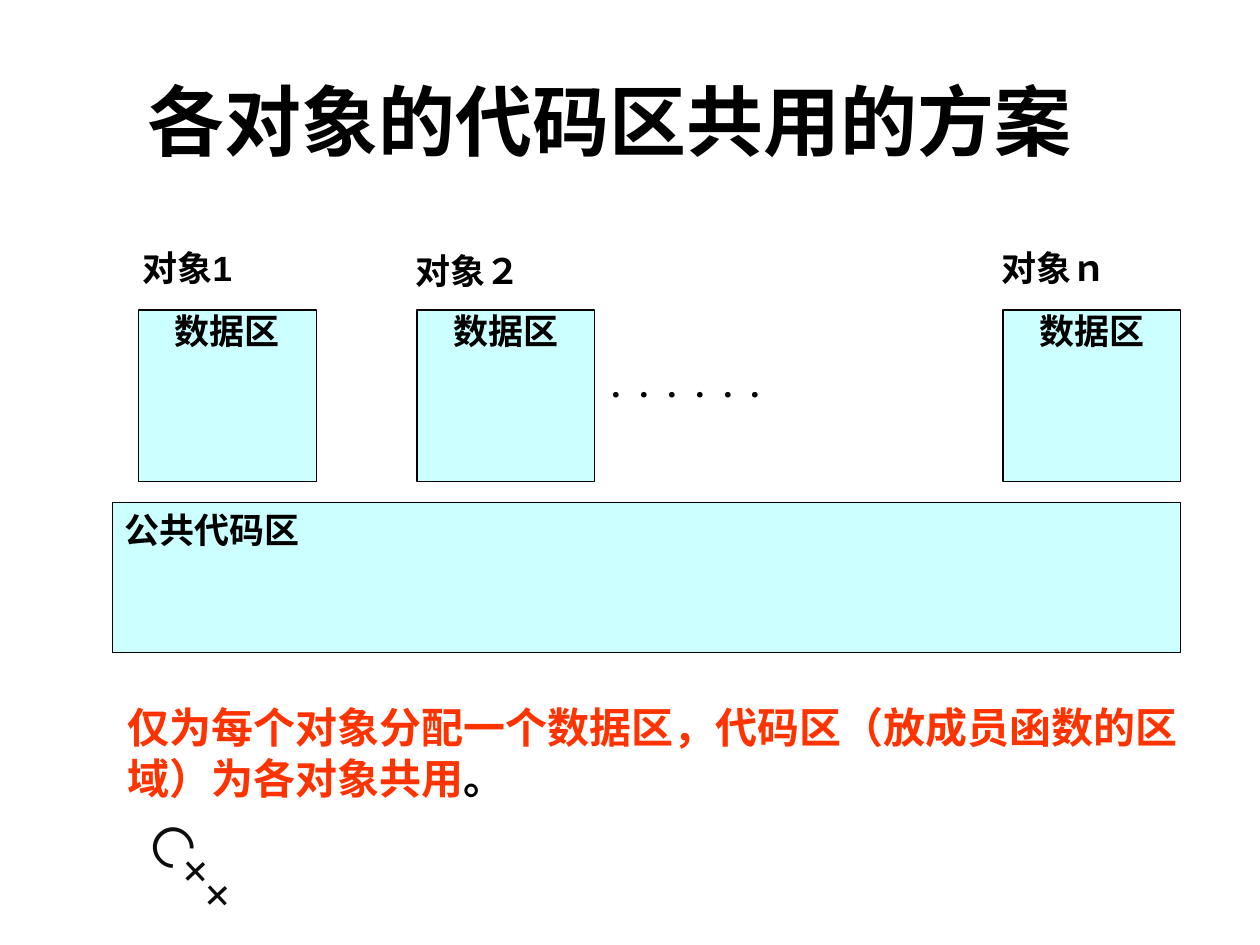
"""Build the slide on objects that share one code area."""
from dataclasses import dataclass

from pptx import Presentation
from pptx import util as u
from pptx.dml.color import RGBColor
from pptx.enum import shapes, text

BLACK = RGBColor(0x00, 0x00, 0x00)
INK = RGBColor(0x0D, 0x0D, 0x0D)
RED = RGBColor(0xFF, 0x33, 0x00)
CYAN = RGBColor(0xCC, 0xFF, 0xFF)
LEFT = text.PP_ALIGN.LEFT
CENTER = text.PP_ALIGN.CENTER
JUSTIFY = text.PP_ALIGN.JUSTIFY
AREA_TOP, AREA_WIDTH, AREA_HEIGHT = 2.46, 1.41, 1.36


@dataclass(frozen=True)
class Span:
    words: str
    size: float
    color: RGBColor = BLACK
    font: str = "Arial"
    bold: bool = True


@dataclass(frozen=True)
class Place:
    left: float
    top: float
    width: float
    height: float

    def lengths(self) -> list:
        return [u.Inches(n) for n in (self.left, self.top, self.width, self.height)]


@dataclass(frozen=True)
class ObjectBlock:
    name: str
    area_left: float
    label: Place


OBJECTS = [
    ObjectBlock("对象1", 1.10, Place(1.13, 1.96, 1.41, 0.34)),
    ObjectBlock("对象２", 3.31, Place(3.30, 1.98, 1.78, 0.31)),
    ObjectBlock("对象ｎ", 7.96, Place(7.95, 1.96, 1.69, 0.34)),
]


def write(box, spans: list[Span], align=LEFT, anchor=text.MSO_ANCHOR.TOP,
          padded: bool = True) -> None:
    frame = box.text_frame
    frame.word_wrap = True
    frame.auto_size = text.MSO_AUTO_SIZE.NONE
    frame.vertical_anchor = anchor
    if not padded:
        frame.margin_left = frame.margin_right = 0
        frame.margin_top = frame.margin_bottom = 0
    para = frame.paragraphs[0]
    para.alignment = align
    for span in spans:
        run = para.add_run()
        run.text = span.words
        run.font.name = span.font
        run.font.size = u.Pt(span.size)
        run.font.bold = span.bold
        run.font.color.rgb = span.color


def add_text(page, place: Place, spans: list[Span], align=LEFT,
             padded: bool = True):
    box = page.shapes.add_textbox(*place.lengths())
    write(box, spans, align, padded=padded)
    return box


def add_area(page, place: Place, label: str, align, padded: bool) -> None:
    box = page.shapes.add_shape(shapes.MSO_SHAPE.RECTANGLE, *place.lengths())
    box.shadow.inherit = False
    box.fill.solid()
    box.fill.fore_color.rgb = CYAN
    box.line.color.rgb = BLACK
    box.line.width = u.Pt(0.75)
    write(box, [Span(label, 20)], align, padded=padded)


def add_title(page, place: Place, words: str) -> None:
    title = page.shapes.title
    title.left, title.top, title.width, title.height = place.lengths()
    write(title, [Span(words, 44)], anchor=text.MSO_ANCHOR.MIDDLE)


def main() -> None:
    deck = Presentation()
    deck.slide_width, deck.slide_height = u.Inches(10), u.Inches(7.5)
    page = deck.slides.add_slide(deck.slide_layouts[5])

    add_title(page, Place(1.07, 0.29, 8.43, 1.32), "各对象的代码区共用的方案")
    corner = add_text(page, Place(0.94, 6.78, 1.61, 0.64),
                      [Span("C++", 32, INK, "Montserrat", False)])
    corner.rotation = 46.9

    for item in OBJECTS:
        area = Place(item.area_left, AREA_TOP, AREA_WIDTH, AREA_HEIGHT)
        add_area(page, area, "数据区", CENTER, padded=False)
        add_text(page, item.label, [Span(item.name, 20)], JUSTIFY, padded=False)
    add_text(page, Place(4.83, 2.94, 3.06, 0.31), [Span("．．．．．．", 16)],
             JUSTIFY, padded=False)
    add_area(page, Place(0.89, 3.99, 8.48, 1.19), "公共代码区", JUSTIFY, padded=True)

    add_text(page, Place(0.91, 5.52, 9.09, 0.91), [
        Span("仅为每个对象分配一个数据区，代码区（放成员函数的区域）为各对象共用", 24, RED),
        Span("。", 24),
    ])
    deck.save("out.pptx")


if __name__ == "__main__":
    main()
